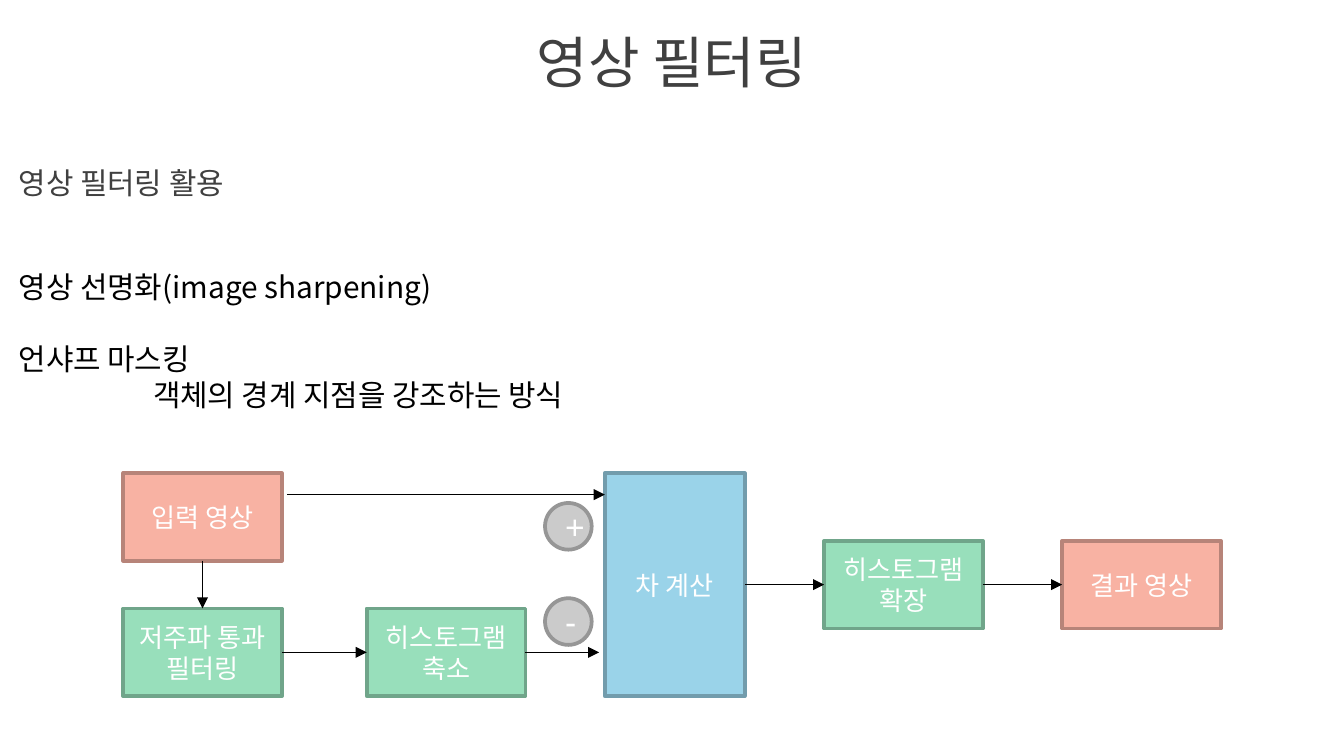
from lxml.etree import SubElement
from pptx import Presentation
from pptx.dml.color import RGBColor
from pptx.enum.shapes import MSO_CONNECTOR as Connector, MSO_SHAPE as Shape
from pptx.enum.text import MSO_ANCHOR as Anchor, PP_ALIGN as Align
from pptx.oxml.ns import qn
from pptx.util import Pt

FONT = "Noto Sans CJK KR"
COLORS = {
    "heading": "404040", "black": "000000", "white": "FFFFFF",
    "coral": "F8B2A3", "coral_line": "B78479",
    "green": "98DFBB", "green_line": "70A58A",
    "blue": "9AD3E9", "blue_line": "729CAC",
    "gray": "CBCBCB", "gray_line": "969696",
}
TOP, LEFT, BOTTOM, RIGHT = range(4)  # connection sites of a rectangle


def color(name):
    return RGBColor.from_string(COLORS[name])


def write(paragraph, text, size=16, fill="black", font=FONT, align=Align.LEFT,
          before=0, indent=0):
    if indent:
        paragraph._p.get_or_add_pPr().set("marL", str(Pt(indent)))
        paragraph._p.get_or_add_pPr().set("indent", "0")
    paragraph.alignment = align
    if before:
        paragraph.space_before = Pt(before)
    run = paragraph.add_run()
    run.text = text
    run.font.name = font
    run.font.size = Pt(size)
    run.font.color.rgb = color(fill)
    SubElement(run._r.get_or_add_rPr(), qn("a:ea"), typeface=font)


def add_text_frame(slide, box, anchor):
    frame = slide.shapes.add_textbox(*map(Pt, box)).text_frame
    frame.word_wrap = True
    frame.vertical_anchor = anchor
    return frame


def add_heading(slide, box, text, **text_format):
    frame = add_text_frame(slide, box, Anchor.MIDDLE)
    write(frame.paragraphs[0], text, fill="heading", **text_format)


def add_description(slide, box):
    line_height = 19.3
    frame = add_text_frame(slide, box, Anchor.TOP)
    write(frame.paragraphs[0], "영상 선명화(image sharpening)")
    write(frame.add_paragraph(), "언샤프 마스킹", before=line_height)
    write(frame.add_paragraph(), "객체의 경계 지점을 강조하는 방식", indent=72)


def add_node(slide, box, text, tone, kind=Shape.RECTANGLE, size=14, font=FONT):
    shape = slide.shapes.add_shape(kind, *map(Pt, box))
    shape.shadow.inherit = False
    shape.fill.solid()
    shape.fill.fore_color.rgb = color(tone)
    shape.line.color.rgb = color(tone + "_line")
    shape.line.width = Pt(2)
    frame = shape.text_frame
    frame.word_wrap = True
    frame.vertical_anchor = Anchor.MIDDLE
    write(frame.paragraphs[0], text, size=size, fill="white", font=font,
          align=Align.CENTER)
    return shape


def add_arrow(slide, points=(0, 0, 0, 0), begin=None, end=None):
    """Draw an arrow; begin and end are optional (shape, site) joints."""
    arrow = slide.shapes.add_connector(Connector.STRAIGHT, *map(Pt, points))
    if begin:
        arrow.begin_connect(*begin)
    if end:
        arrow.end_connect(*end)
    arrow.line.color.rgb = color("black")
    arrow.line.width = Pt(0.75)
    SubElement(arrow.line._get_or_add_ln(), qn("a:tailEnd"), type="triangle")
    SubElement(arrow._element.spPr, qn("a:effectLst"))


def add_unsharp_flow(slide, box):
    left, top, width, height = box
    node_width, node_height, difference_width, gap = 85, 47, 75, 42.5
    result_left = left + width - node_width
    stretch_left = result_left - gap - node_width
    difference_left = stretch_left - gap - difference_width
    shrink_left = difference_left - gap - node_width
    middle = top + (height - node_height) / 2
    bottom = top + height - node_height

    def step(x, y, text, tone):
        return add_node(slide, (x, y, node_width, node_height), text, tone)

    source = step(left, top, "입력 영상", "coral")
    low_pass = step(left, bottom, "저주파 통과 필터링", "green")
    shrink = step(shrink_left, bottom, "히스토그램 축소", "green")
    difference = add_node(
        slide, (difference_left, top, difference_width, height), "차 계산", "blue")
    stretch = step(stretch_left, middle, "히스토그램 확장", "green")
    result = step(result_left, middle, "결과 영상", "coral")

    add_arrow(slide, begin=(source, BOTTOM), end=(low_pass, TOP))
    for first, second in ((low_pass, shrink), (difference, stretch),
                          (stretch, result)):
        add_arrow(slide, begin=(first, RIGHT), end=(second, LEFT))
    plus_y = top + 11.5
    add_arrow(slide, (left + node_width + 3, plus_y, difference_left, plus_y))
    minus_y = bottom + node_height / 2
    add_arrow(slide, (shrink_left + node_width, minus_y,
                      difference_left - 3, minus_y), begin=(shrink, RIGHT))

    for sign, y in (("+", top + 16), ("-", top + 67)):
        add_node(slide, (difference_left - 32, y, 25, 25), sign, "gray",
                 kind=Shape.OVAL, size=18, font="Arial")


def main():
    presentation = Presentation()
    presentation.slide_width = Pt(720)
    presentation.slide_height = Pt(405)
    slide = presentation.slides.add_slide(presentation.slide_layouts[6])
    add_heading(slide, (0, 10, 720, 45.5), "영상 필터링", size=30,
                align=Align.CENTER)
    add_heading(slide, (3, 78, 720, 39.5), "영상 필터링 활용")
    add_description(slide, (3, 140.5, 714, 104.5))
    add_unsharp_flow(slide, (66, 253.5, 588, 119.5))
    presentation.save("out.pptx")


if __name__ == "__main__":
    main()
